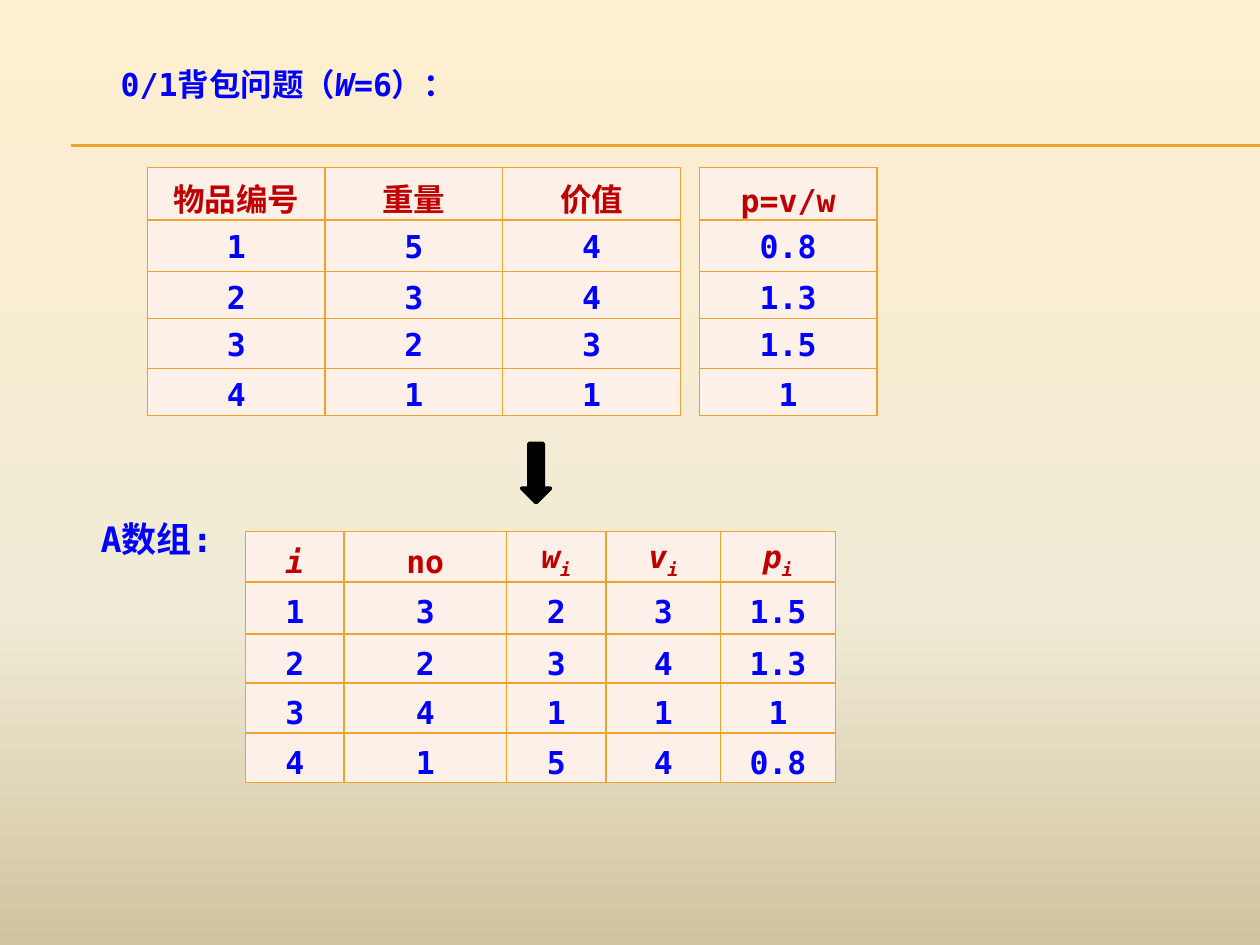
from copy import deepcopy
from dataclasses import dataclass

from lxml import etree
from pptx import Presentation
from pptx import util as u
from pptx.dml.color import RGBColor
from pptx.enum import shapes, text
from pptx.oxml.ns import qn


@dataclass(frozen=True)
class Theme:
    font: str = "DejaVu Sans Mono"
    blue: str = "0000FF"
    red: str = "C00000"
    orange: str = "F0A22E"
    black: str = "000000"
    cell: str = "FCF0E8"
    backdrop: tuple = ((0, "FFEFD1"), (65, "F0EBD5"), (100, "D1C39F"))
    body: int = 18
    label: int = 20


def color(value):
    return RGBColor.from_string(value)


class SlideBuilder:
    def __init__(self, page, theme):
        self.page = page
        self.theme = theme

    def background(self):
        fill = self.page.background.fill
        fill.gradient()
        fill.gradient_angle = 270
        stops = self.page._element.find(".//" + qn("a:gsLst"))
        stops.append(deepcopy(stops[-1]))
        for stop, (place, value) in zip(fill.gradient_stops, self.theme.backdrop):
            stop.position = place / 100
            stop.color.rgb = color(value)

    def add_spans(self, para, spans, size, value):
        """Spans are plain strings or (text, style) with style "italic" or "sub"."""
        font = para.font
        font.name, font.size, font.bold = self.theme.font, u.Pt(size), True
        font.color.rgb = color(value)
        for span in spans:
            words, style = (span, None) if isinstance(span, str) else span
            run = para.add_run()
            run.text = words
            if style:
                run.font.italic = True
            if style == "sub":
                run.font._element.set("baseline", "-25000")

    def text(self, left, top, width, height, spans, size):
        box = self.page.shapes.add_textbox(*map(u.Inches, (left, top, width, height)))
        box.text_frame.word_wrap = True
        box.text_frame.auto_size = text.MSO_AUTO_SIZE.SHAPE_TO_FIT_TEXT
        self.add_spans(box.text_frame.paragraphs[0], spans, size, self.theme.blue)

    def rule(self, left, right, y):
        line = self.page.shapes.add_connector(
            shapes.MSO_CONNECTOR.STRAIGHT, *map(u.Inches, (left, y, right, y)))
        line.line.color.rgb = color(self.theme.orange)
        line.line.width = u.Pt(0.75)
        etree.SubElement(line._element.spPr, qn("a:effectLst"))

    def down_arrow(self, left, top, width, height):
        arrow = self.page.shapes.add_shape(
            shapes.MSO_SHAPE.DOWN_ARROW, *map(u.Inches, (left, top, width, height)))
        arrow.shadow.inherit = False
        arrow.fill.solid()
        arrow.fill.fore_color.rgb = color(self.theme.black)
        arrow.line.color.rgb = color(self.theme.black)
        arrow.line.width = u.Pt(2)

    def border(self, cell):
        properties = cell._tc.get_or_add_tcPr()
        for side in ("lnL", "lnR", "lnT", "lnB"):
            line = etree.SubElement(properties, qn("a:" + side), w=str(int(u.Pt(1))))
            fill = etree.SubElement(line, qn("a:solidFill"))
            etree.SubElement(fill, qn("a:srgbClr"), val=self.theme.orange)

    def table(self, left, top, widths, heights, header, rows, header_line, row_line):
        frame = self.page.shapes.add_table(
            len(heights), len(widths), u.Inches(left), u.Inches(top),
            u.Inches(sum(widths)), u.Inches(sum(heights)))
        grid = frame.table
        grid.first_row = grid.horz_banding = False
        for column, width in zip(grid.columns, widths):
            column.width = u.Inches(width)
        for row, height in zip(grid.rows, heights):
            row.height = u.Inches(height)
        contents = [header] + [[[value] for value in row] for row in rows]
        for r, row in enumerate(contents):
            for c, spans in enumerate(row):
                cell = grid.cell(r, c)
                self.border(cell)
                cell.fill.solid()
                cell.fill.fore_color.rgb = color(self.theme.cell)
                cell.margin_top = cell.margin_bottom = 0
                para = cell.text_frame.paragraphs[0]
                para.alignment = text.PP_ALIGN.CENTER
                para.line_spacing = u.Pt(row_line if r else header_line)
                self.add_spans(para, spans, self.theme.body,
                               self.theme.blue if r else self.theme.red)


def main():
    deck = Presentation()
    deck.slide_width, deck.slide_height = u.Inches(10), u.Inches(7.5)
    theme = Theme()
    slide = SlideBuilder(deck.slides.add_slide(deck.slide_layouts[6]), theme)
    heights = (0.4, 0.41, 0.37, 0.4, 0.37)

    # Background and double rule under the title
    slide.background()
    for y in (1.15, 1.16):
        slide.rule(0.56, 10, y)

    # Title
    slide.text(0.86, 0.47, 3.83, 0.4,
               ["0/1背包问题（", ("W", "italic"), "=6）："], theme.body)

    # Items, with their value-to-weight ratios beside them
    slide.table(1.17, 1.33, [1.41] * 3, heights,
                [["物品编号"], ["重量"], ["价值"]],
                [("1", "5", "4"), ("2", "3", "4"),
                 ("3", "2", "3"), ("4", "1", "1")], 30, 26)
    slide.table(5.55, 1.33, [1.41], heights, [["p=v/w"]],
                [["0.8"], ["1.3"], ["1.5"], ["1"]], 30, 26)

    # Items sorted by ratio
    slide.down_arrow(4.14, 3.52, 0.23, 0.47)
    slide.text(0.7, 4.06, 1.02, 0.44, ["A数组:"], theme.label)
    indexed = [[(name, "italic"), ("i", "sub")] for name in "wvp"]
    slide.table(1.95, 4.22, (0.78, 1.29, 0.79, 0.91, 0.91), heights,
                [[("i", "italic")], ["no"]] + indexed,
                [("1", "3", "2", "3", "1.5"),
                 ("2", "2", "3", "4", "1.3"),
                 ("3", "4", "1", "1", "1"),
                 ("4", "1", "5", "4", "0.8")], 28, 28)

    deck.save("out.pptx")


if __name__ == "__main__":
    main()
